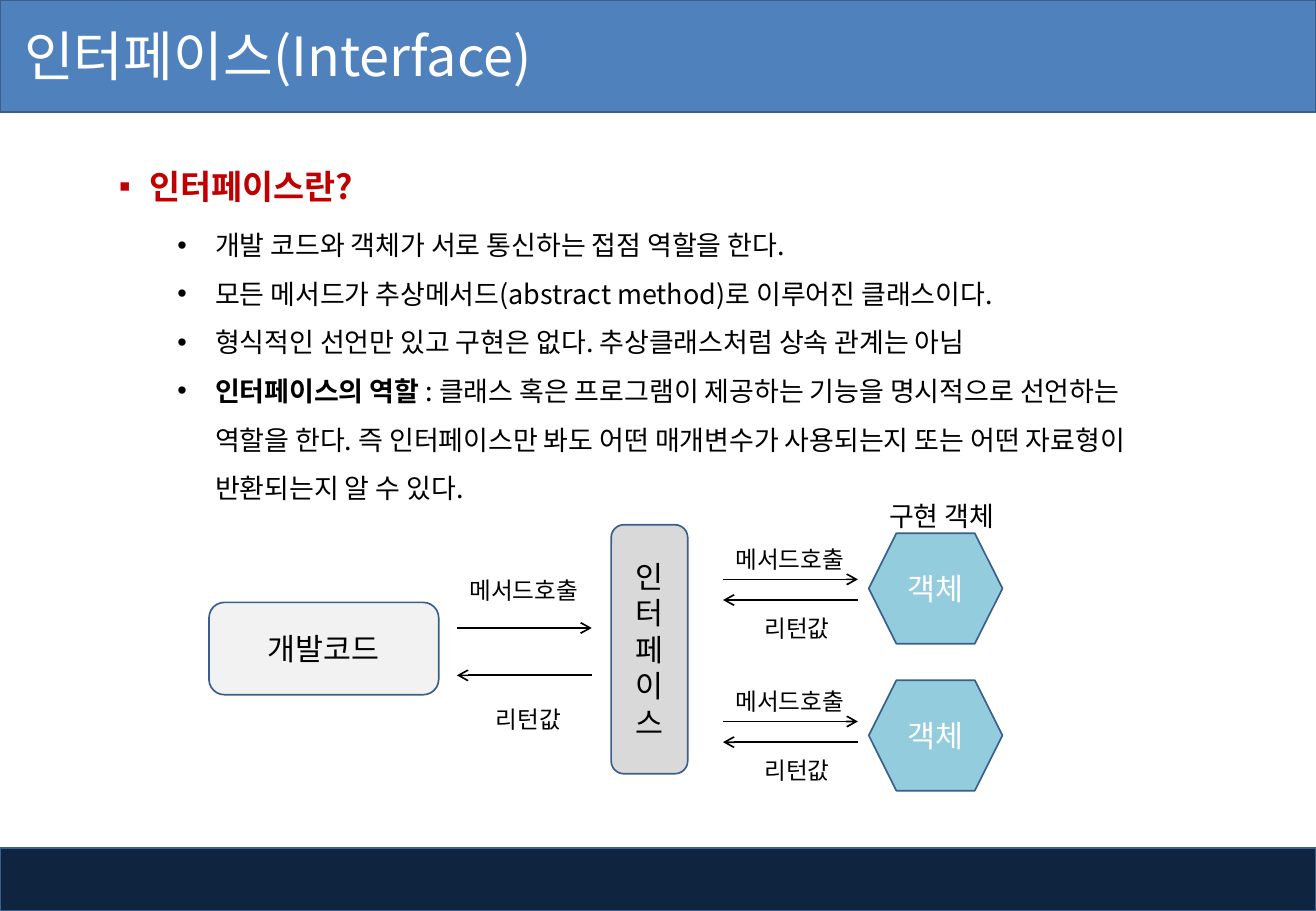
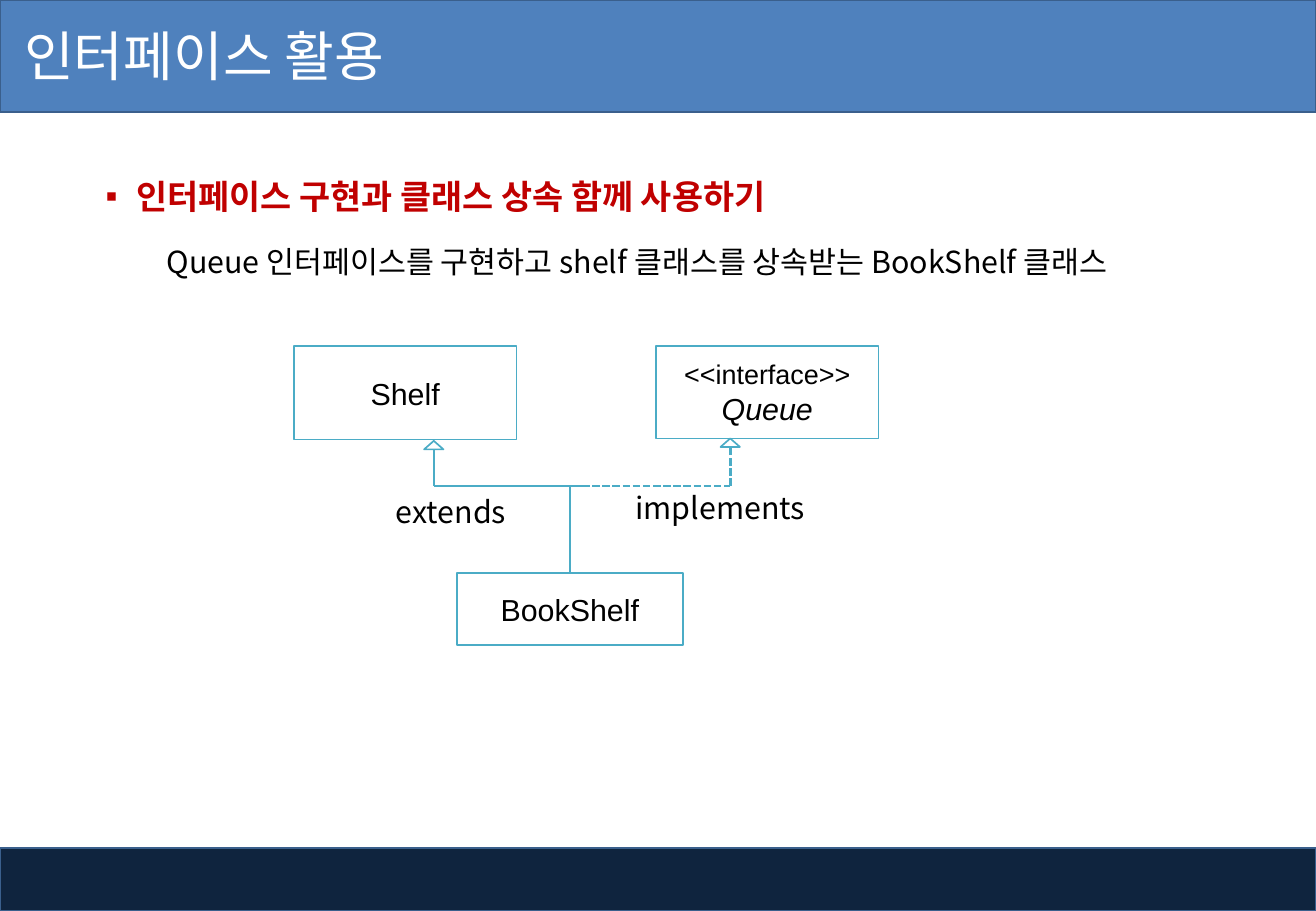
from dataclasses import dataclass
from typing import Any, Optional

from lxml.etree import SubElement
from pptx import Presentation
from pptx.dml.color import RGBColor
from pptx.enum.dml import MSO_LINE
from pptx.enum.shapes import MSO_CONNECTOR, MSO_SHAPE
from pptx.enum.text import MSO_ANCHOR, MSO_AUTO_SIZE, PP_ALIGN
from pptx.oxml.ns import qn
from pptx.util import Emu, Pt

SCALE = 9144
WIDE, HIGH = 1083, 750
SANS, LATIN = "Noto Sans CJK KR", "Arial"
HEX = {
    "navy": "0F243E", "blue": "4F81BD", "edge": "3A5F8C", "red": "C00000",
    "black": "000000", "white": "FFFFFF", "gray": "D9D9D9", "pale": "F2F2F2",
    "aqua": "93CDDD", "teal": "4BACC6",
}


@dataclass(frozen=True)
class Box:
    x: int
    y: int
    w: int
    h: int


@dataclass(frozen=True)
class Run:
    text: str
    size: int
    color: str = "black"
    bold: bool = False
    slant: bool = False
    font: str = SANS


@dataclass(frozen=True)
class Para:
    runs: tuple[Run, ...]
    align: Any = PP_ALIGN.LEFT
    lead: Optional[float] = None
    above: int = 0
    mark: str = ""
    left: int = 0
    hang: int = 0
    level: int = 0


@dataclass(frozen=True)
class Node:
    kind: Any
    box: Box
    fill: str
    edge: str
    paras: tuple[Para, ...] = ()


@dataclass(frozen=True)
class Call:
    x: int
    top: int
    gap: int
    ask: Box
    reply: Box


def px(num: int) -> Emu:
    return Emu(num * SCALE)


def rgb(name: str) -> RGBColor:
    return RGBColor.from_string(HEX[name])


def area(box: Box) -> tuple[Emu, ...]:
    return px(box.x), px(box.y), px(box.w), px(box.h)


def mid(text: str, size: int, color: str = "black", **look: Any) -> Para:
    return Para((Run(text, size, color, **look),), PP_ALIGN.CENTER)


def head(text: str) -> Para:
    return Para((Run(text, 20, "red", bold=True),), lead=36, mark="▪", left=25, hang=25)


def item(*runs: Run) -> Para:
    return Para(runs, lead=28.8, mark="•", left=81, hang=31, level=1)


def bullet(par: Any, data: Para) -> None:
    props = par._p.get_or_add_pPr()
    props.set("marL", str(px(data.left)))
    props.set("indent", str(px(-data.hang)))
    if data.mark:
        SubElement(props, qn("a:buFont")).set("typeface", LATIN)
        SubElement(props, qn("a:buChar")).set("char", data.mark)
    else:
        SubElement(props, qn("a:buNone"))


def write(frame: Any, paras: tuple[Para, ...], anchor: Any = MSO_ANCHOR.MIDDLE) -> None:
    frame.word_wrap = True
    frame.auto_size = MSO_AUTO_SIZE.NONE
    frame.vertical_anchor = anchor
    for num, data in enumerate(paras):
        par = frame.add_paragraph() if num else frame.paragraphs[0]
        bullet(par, data)
        par.level = data.level
        par.alignment = data.align
        par.space_before = Pt(data.above)
        if data.lead:
            par.line_spacing = Pt(data.lead)
        for part in data.runs:
            run = par.add_run()
            run.text = part.text
            font = run.font
            font.size = Pt(part.size)
            font.bold = part.bold
            font.italic = part.slant
            font.color.rgb = rgb(part.color)
            font.name = part.font
            SubElement(run._r.get_or_add_rPr(), qn("a:ea")).set("typeface", part.font)


def place(shape: Any, box: Box) -> None:
    shape.left, shape.top, shape.width, shape.height = area(box)


def draw(slide: Any, node: Node) -> Any:
    shape = slide.shapes.add_shape(node.kind, *area(node.box))
    shape.shadow.inherit = False
    shape.fill.solid()
    shape.fill.fore_color.rgb = rgb(node.fill)
    shape.line.color.rgb = rgb(node.edge)
    shape.line.width = Pt(1)
    if node.paras:
        write(shape.text_frame, node.paras)
    return shape


def label(slide: Any, box: Box, para: Para, anchor: Any = MSO_ANCHOR.MIDDLE) -> None:
    write(slide.shapes.add_textbox(*area(box)).text_frame, (para,), anchor)


def line(slide: Any, start: tuple[int, int], end: tuple[int, int], color: str,
         width: float, dash: bool = False, arrow: bool = False) -> Any:
    wire = slide.shapes.add_connector(
        MSO_CONNECTOR.STRAIGHT, *map(px, start), *map(px, end))
    wire.line.color.rgb = rgb(color)
    wire.line.width = Pt(width)
    if dash:
        wire.line.dash_style = MSO_LINE.SQUARE_DOT
    if arrow:
        SubElement(wire.line._get_or_add_ln(), qn("a:tailEnd")).set("type", "arrow")
    SubElement(wire.element.spPr, qn("a:effectLst"))
    return wire


def bands(slide: Any, layout: Any) -> None:
    for box, fill in ((Box(0, 0, WIDE, 92), "blue"), (Box(0, 698, WIDE, 52), "navy")):
        band = draw(slide, Node(MSO_SHAPE.RECTANGLE, box, fill, "edge"))
        layout.shapes.element.insert(2, band.element)


def page(deck: Any, layout: Any, name: str, body: Box, paras: tuple[Para, ...]) -> Any:
    slide = deck.slides.add_slide(layout)
    title = slide.shapes.title
    place(title, Box(0, -2, 678, 94))
    write(title.text_frame, (Para((Run(name, 32, "white"),)),))
    title.text_frame.margin_left = px(20)
    text = slide.placeholders[1]
    place(text, body)
    write(text.text_frame, paras, MSO_ANCHOR.TOP)
    return slide


def talk(slide: Any, call: Call) -> None:
    near, far, low = call.x, call.x + 111, call.top + call.gap
    line(slide, (near, call.top), (far, call.top), "black", 1, arrow=True)
    line(slide, (far, low), (near, low), "black", 1, arrow=True)
    label(slide, call.ask, mid("메서드호출", 14))
    label(slide, call.reply, mid("리턴값", 14))


def concept(deck: Any, layout: Any) -> Any:
    slide = page(deck, layout, "인터페이스 (Interface)".replace(" (", "("), Box(86, 170, 897, 252), (
        item(Run("개발 코드와 객체가 서로 통신하는 접점 역할을 한다.", 16)),
        item(Run("모든 메서드가 추상메서드(abstract method)로 이루어진 클래스이다.", 16)),
        item(Run("형식적인 선언만 있고 구현은 없다. 추상클래스처럼 상속 관계는 아님", 16)),
        item(Run("인터페이스의 역할 ", 16, bold=True),
             Run(": 클래스 혹은 프로그램이 제공하는 기능을 명시적으로 선언하는 역할을 한다. "
                 "즉 인터페이스만 봐도 어떤 매개변수가 사용되는지 또는 어떤 자료형이 "
                 "반환되는지 알 수 있다.", 16)),
    ))
    label(slide, Box(88, 115, 260, 55), head("인터페이스란?"), MSO_ANCHOR.TOP)
    tall = Para((Run("인터페이스", 18),), PP_ALIGN.CENTER, lead=21.6)
    round_ = MSO_SHAPE.ROUNDED_RECTANGLE
    draw(slide, Node(round_, Box(503, 432, 63, 205), "gray", "edge", (tall,)))
    draw(slide, Node(round_, Box(172, 496, 189, 76), "pale", "edge", (mid("개발코드", 18),)))
    talk(slide, Call(376, 517, 39, Box(372, 469, 118, 34), Box(376, 575, 118, 34)))
    for top, wire in ((439, 477), (560, 594)):
        draw(slide, Node(MSO_SHAPE.HEXAGON, Box(715, top, 110, 91), "aqua", "edge",
                         (mid("객체", 18, "white"),)))
        talk(slide, Call(595, wire, 17, Box(591, wire - 34, 118, 34),
                         Box(597, wire + 23, 118, 34)))
    label(slide, Box(712, 406, 126, 37), mid("구현 객체", 16))
    return slide


def usage(deck: Any, layout: Any) -> None:
    note = Run("Queue 인터페이스를 구현하고 shelf 클래스를 상속받는 BookShelf 클래스", 18)
    slide = page(deck, layout, "인터페이스 활용", Box(77, 123, 953, 109), (
        head("인터페이스 구현과 클래스 상속 함께 사용하기"),
        Para((note,), lead=32.4, above=5, left=50, level=1),
    ))
    rect = MSO_SHAPE.RECTANGLE
    draw(slide, Node(rect, Box(242, 285, 183, 77), "white", "teal",
                     (mid("Shelf", 18, font=LATIN),)))
    draw(slide, Node(rect, Box(540, 285, 183, 76), "white", "teal",
                     (mid("<<interface>>", 16, font=LATIN),
                      mid("Queue", 18, slant=True, font=LATIN))))
    child = draw(slide, Node(rect, Box(376, 472, 186, 59), "white", "teal",
                             (mid("BookShelf", 18, font=LATIN),)))
    for x, top, fork, dash in ((357, 363, 479, False), (601, 361, 479, True)):
        line(slide, (fork, 400), (x, 400), "teal", 1.5, dash)
        line(slide, (x, 400), (x, top + 7), "teal", 1.5, dash)
        draw(slide, Node(MSO_SHAPE.ISOSCELES_TRIANGLE, Box(x - 8, top, 16, 7),
                         "white", "teal"))
    stem = line(slide, (469, 400), (469, 472), "teal", 1.5)
    stem.end_connect(child, 0)
    label(slide, Box(513, 398, 162, 40), Para((Run("implements", 18),)))
    label(slide, Box(316, 401, 123, 40), Para((Run("extends", 18),)))


def main() -> None:
    deck = Presentation()
    deck.slide_width, deck.slide_height = px(WIDE), px(HIGH)
    layout = deck.slide_layouts[1]
    first = concept(deck, layout)
    bands(first, layout)
    usage(deck, layout)
    deck.save("out.pptx")


if __name__ == "__main__":
    main()
